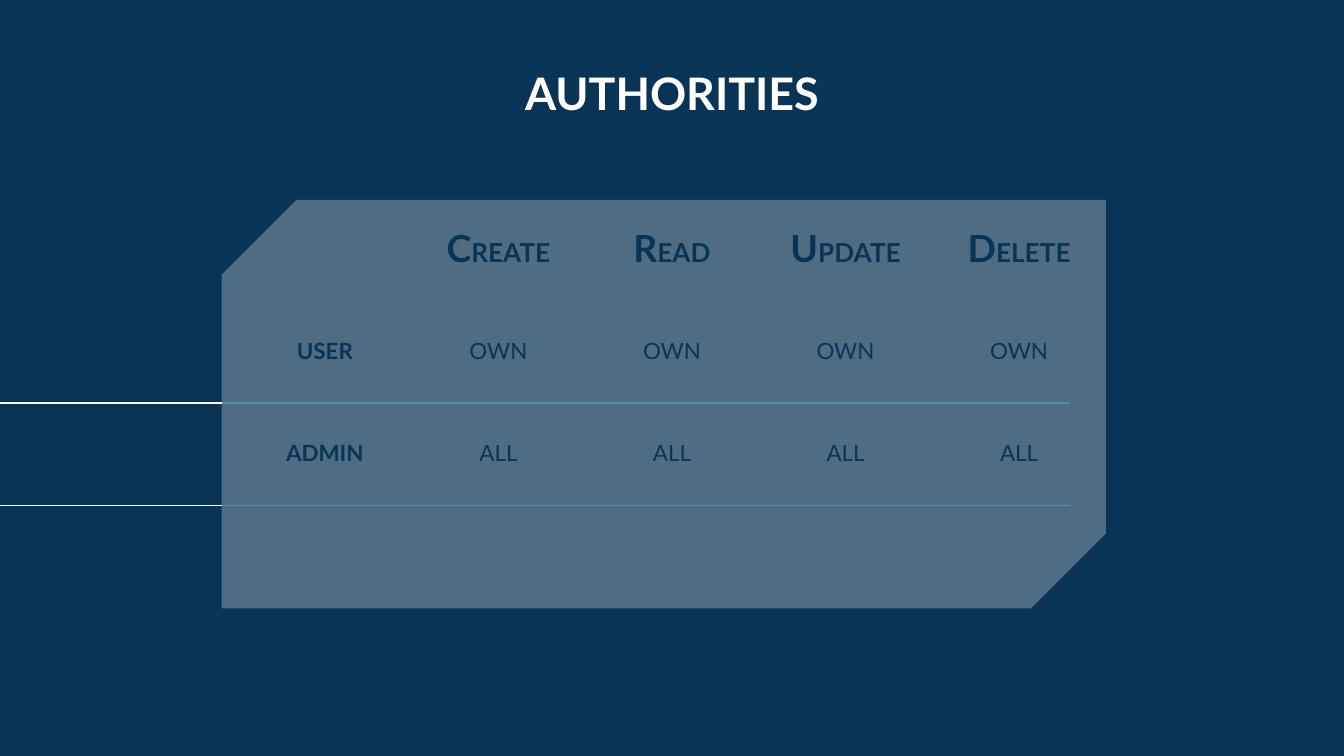
"""Build the authorities slide: a permission table on a snipped panel."""
from dataclasses import dataclass

from lxml import etree
from pptx import Presentation
from pptx import util as u
from pptx.dml.color import RGBColor
from pptx.enum import shapes, text
from pptx.oxml.ns import qn


@dataclass(frozen=True)
class Theme:
    navy: str = "0A3455"
    white: str = "FFFFFF"
    teal: str = "548FA6"
    font: str = "Lato"
    title: int = 24
    initial: int = 20
    header: int = 14
    body: int = 12
    inset: float = 0.25
    line: float = 0.75
    panel_alpha: int = 28


class Deck:
    def __init__(self, prs, theme):
        self.theme = theme
        self.s = prs.slides.add_slide(prs.slide_layouts[6])
        fill = self.s.background.fill
        fill.solid()
        fill.fore_color.rgb = RGBColor.from_string(theme.navy)

    def style(self, r, size, color, bold):
        r.font.name = self.theme.font
        r.font.size = u.Pt(size)
        r.font.bold = bold
        r.font.color.rgb = RGBColor.from_string(color)

    def panel(self, x, y, w, h, snip):
        sp = self.s.shapes.add_shape(shapes.MSO_SHAPE.SNIP_2_DIAG_RECTANGLE,
                                     u.Cm(x), u.Cm(y), u.Cm(w), u.Cm(h))
        sp.adjustments[0], sp.adjustments[1] = snip, 0
        sp.shadow.inherit = False
        sp.line.fill.background()
        sp.fill.solid()
        sp.fill.fore_color.rgb = RGBColor.from_string(self.theme.white)
        color = sp.fill._xPr.find(qn("a:solidFill"))[0]
        etree.SubElement(color, qn("a:alpha"), val=str(self.theme.panel_alpha * 1000))

    def title(self, x, y, w, h, words):
        tf = self.s.shapes.add_textbox(u.Cm(x), u.Cm(y), u.Cm(w), u.Cm(h)).text_frame
        tf.word_wrap = True
        tf.margin_left = tf.margin_right = u.Cm(self.theme.inset)
        tf.margin_top = tf.margin_bottom = u.Cm(self.theme.inset)
        tf.text = words
        p = tf.paragraphs[0]
        p.alignment = text.PP_ALIGN.CENTER
        self.style(p.runs[0], self.theme.title, self.theme.white, True)

    def cell(self, cell, runs):
        cell.fill.background()
        for i, side in enumerate(("lnL", "lnR", "lnT", "lnB")):
            ln = etree.Element(qn(f"a:{side}"))
            etree.SubElement(ln, qn("a:noFill"))
            cell._tc.tcPr.insert(i, ln)
        cell.vertical_anchor = text.MSO_ANCHOR.MIDDLE
        cell.margin_left = cell.margin_right = u.Cm(self.theme.inset)
        cell.margin_top = cell.margin_bottom = u.Cm(self.theme.inset)
        p = cell.text_frame.paragraphs[0]
        p.alignment = text.PP_ALIGN.CENTER
        for words, size, bold in runs:
            r = p.add_run()
            r.text = words
            self.style(r, size, self.theme.navy, bold)

    def table(self, x, y, col_w, row_h, rows):
        n_rows, n_cols = len(rows), len(rows[0])
        table = self.s.shapes.add_table(n_rows, n_cols, u.Cm(x), u.Cm(y),
                                        u.Cm(col_w * n_cols), u.Cm(row_h * n_rows)).table
        table.first_row = table.horz_banding = False
        for col in table.columns:
            col.width = u.Cm(col_w)
        for i, row in enumerate(rows):
            table.rows[i].height = u.Cm(row_h)
            for j, words in enumerate(row):
                if not words:
                    runs = []
                elif i == 0:
                    runs = [(words[0], self.theme.initial, True),
                            (words[1:], self.theme.header, True)]
                else:
                    runs = [(words, self.theme.body, j == 0)]
                self.cell(table.cell(i, j), runs)

    def rule(self, x1, x2, y, color):
        cx = self.s.shapes.add_connector(shapes.MSO_CONNECTOR.STRAIGHT,
                                         u.Cm(x1), u.Cm(y), u.Cm(x2), u.Cm(y))
        cx.line.color.rgb = RGBColor.from_string(color)
        cx.line.width = u.Pt(self.theme.line)
        etree.SubElement(cx._element.spPr, qn("a:effectLst"))


def main():
    prs = Presentation()
    prs.slide_width, prs.slide_height = u.Cm(25.4), u.Cm(14.29)
    theme = Theme()
    deck = Deck(prs, theme)
    left, row_h = 4.19, 1.93

    deck.panel(left, 3.78, 16.71, 7.72, 0.183)
    deck.title(5.46, 0.99, 14.48, 2.62, "AUTHORITIES")
    deck.table(4.5, 3.73, 3.28, row_h, [
        ["", "CREATE", "READ", "UPDATE", "DELETE"],
        ["USER"] + ["OWN"] * 4,
        ["ADMIN"] + ["ALL"] * 4,
        [""] * 5,
    ])
    for end, color in ((0, theme.white), (20.22, theme.teal)):
        for i in range(2):
            deck.rule(left, end, 7.62 + i * row_h, color)

    prs.save("out.pptx")


if __name__ == "__main__":
    main()
